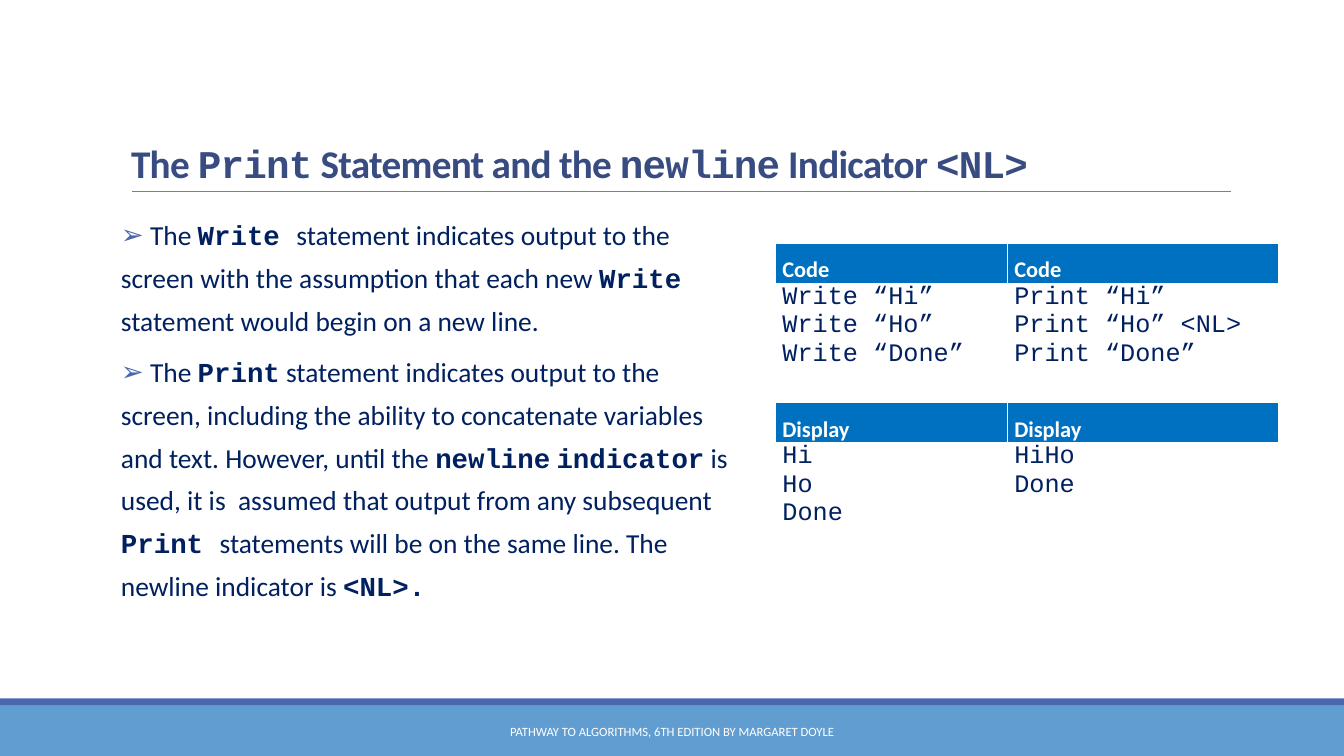
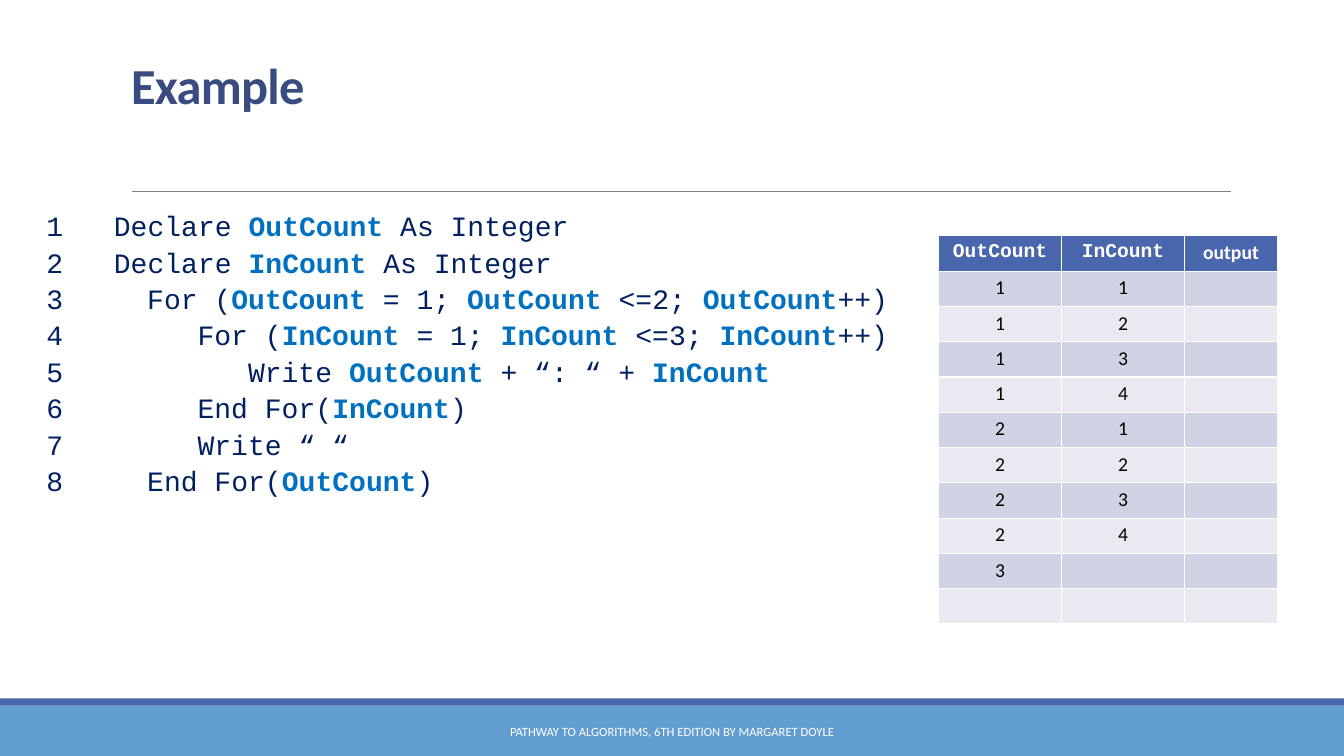
from lxml import etree
from pptx import Presentation
from pptx.dml.color import RGBColor
from pptx.enum.shapes import MSO_CONNECTOR, MSO_SHAPE
from pptx.enum.text import MSO_ANCHOR, MSO_AUTO_SIZE, PP_ALIGN
from pptx.oxml.ns import qn
from pptx.util import Inches, Pt

RECTANGLE = MSO_SHAPE.RECTANGLE
STRAIGHT = MSO_CONNECTOR.STRAIGHT
LEFT, CENTER = PP_ALIGN.LEFT, PP_ALIGN.CENTER
BOTTOM, MIDDLE, TOP = MSO_ANCHOR.BOTTOM, MSO_ANCHOR.MIDDLE, MSO_ANCHOR.TOP
NO_FIT = MSO_AUTO_SIZE.NONE

COLORS = {
    "band": "629DD1", "stripe": "4A66AC", "rule": "808080", "title": "384C81",
    "text": "002060", "accent": "0070C0", "white": "FFFFFF", "black": "000000",
    "row_odd": "D0D3E3", "row_even": "E9EAF1",
}
SANS, MONO = "Calibri", "Courier New"
SLIDE_WIDTH, SLIDE_HEIGHT = 13.33, 7.5

# Backticks switch the emphasised style on and off.
FOOTER = "PATHWAY TO ALGORITHMS, 6TH EDITION BY MARGARET DOYLE"
PRINT_TITLE = "The `Print` Statement and the `newline` Indicator `<NL>`"
PRINT_POINTS = [
    " The `Write `statement indicates output to the screen with the assumption "
    "that each new `Write` statement would begin on a new line.",
    " The `Print` statement indicates output to the screen, including the ability "
    "to concatenate variables and text. However, until the `newline` `indicator` "
    "is used, it is  assumed that output from any subsequent `Print `statements "
    "will be on the same line. The newline indicator is `<NL>.`",
]
PRINT_TABLE = [
    (["Code"], ["Code"]),
    (["Write “Hi”", "Write “Ho”", "Write “Done”"],
     ["Print “Hi”", "Print “Ho” <NL>", "Print “Done”"]),
    (["Display"], ["Display"]),
    (["Hi", "Ho", "Done"], ["HiHo", "Done"]),
]

LOOP_TITLE = "Example"
LOOP_CODE = [  # (indent in inches, code)
    (0.67, "Declare `OutCount` As Integer"),
    (0.67, "Declare `InCount` As Integer"),
    (1, "For (`OutCount` = 1; `OutCount` <=2; `OutCount`++)"),
    (1.5, "For (`InCount` = 1; `InCount` <=3; `InCount`++)"),
    (2, "Write `OutCount` + “: “ + `InCount`"),
    (1.5, "End For(`InCount`)"),
    (1.5, "Write “ “"),
    (1, "End For(`OutCount`)"),
]
TRACE_HEAD = ("OutCount", "InCount", "output")
TRACE_ROWS = [(str(out), str(inner), "") for out in (1, 2) for inner in range(1, 5)]
TRACE_ROWS += [("3", "", ""), ("", "", "")]


def rgb(name):
    """Return the named colour."""
    return RGBColor.from_string(COLORS[name])


def style_font(font, size, color, name=SANS, bold=False):
    """Set size, colour, typeface and weight of a font."""
    font.size, font.name, font.bold = Pt(size), name, bold
    font.color.rgb = rgb(color)


def add_marked_runs(paragraph, text, name=None, color=None):
    """Add runs, giving the parts between backticks the emphasised style."""
    for index, part in enumerate(text.split("`")):
        if not part:
            continue
        run = paragraph.add_run()
        run.text = part
        if index % 2:
            run.font.bold = True
            if name:
                run.font.name = name
            if color:
                run.font.color.rgb = rgb(color)


def place(shape, left, top, width, height):
    """Move and size a shape, in inches."""
    shape.left, shape.top = Inches(left), Inches(top)
    shape.width, shape.height = Inches(width), Inches(height)


def set_bullet(paragraph, indent=0, char=None):
    """Set the hanging indent and the bullet, or no bullet at all."""
    properties = paragraph._p.get_or_add_pPr()
    properties.set("marL", str(Inches(indent)))
    properties.set("indent", str(-Inches(indent)))
    if char:
        bullet_color = etree.SubElement(properties, qn("a:buClr"))
        etree.SubElement(bullet_color, qn("a:srgbClr"), val=COLORS["stripe"])
        etree.SubElement(properties, qn("a:buChar"), char=char)
    else:
        etree.SubElement(properties, qn("a:buNone"))


def add_frame(slide):
    """Draw the bands, the rule under the title and the footer."""
    for color, top, height in (("band", 7, 0.5), ("stripe", 6.93, 0.07)):
        band = slide.shapes.add_shape(RECTANGLE, 0, Inches(top),
                                      Inches(SLIDE_WIDTH), Inches(height))
        band.shadow.inherit = False
        band.fill.solid()
        band.fill.fore_color.rgb = rgb(color)
        band.line.fill.background()
    rule = slide.shapes.add_connector(STRAIGHT, Inches(1.31), Inches(1.9),
                                      Inches(12.21), Inches(1.9))
    rule.line.color.rgb = rgb("rule")
    rule.line.width = Pt(0.5)
    etree.SubElement(rule._element.spPr, qn("a:effectLst"))
    footer = slide.shapes.add_textbox(Inches(4.03), Inches(7.06),
                                      Inches(5.27), Inches(0.4)).text_frame
    footer.word_wrap, footer.vertical_anchor = True, MIDDLE
    paragraph = footer.paragraphs[0]
    paragraph.text, paragraph.alignment = FOOTER, CENTER
    style_font(paragraph.font, 9, "white")


def add_slide(deck, title, size, title_box, body_box):
    """Add a framed slide with its title; return it and the empty body frame."""
    slide = deck.slides.add_slide(deck.slide_layouts[1])
    add_frame(slide)
    place(slide.shapes.title, *title_box)
    heading = slide.shapes.title.text_frame
    heading.word_wrap, heading.auto_size = True, NO_FIT
    heading.vertical_anchor = BOTTOM
    paragraph = heading.paragraphs[0]
    paragraph.alignment, paragraph.line_spacing = LEFT, 0.85
    style_font(paragraph.font, size, "title", bold=True)
    add_marked_runs(paragraph, title, name=MONO)
    for run in paragraph.runs:
        run.font._element.set("spc", "-50")
    place(slide.placeholders[1], *body_box)
    body = slide.placeholders[1].text_frame
    body.word_wrap, body.auto_size, body.vertical_anchor = True, NO_FIT, TOP
    body.margin_left = body.margin_right = 0
    return slide, body


def next_paragraph(frame, index):
    """Return the first paragraph of a frame, or a new one after it."""
    return frame.add_paragraph() if index else frame.paragraphs[0]


def add_grid(slide, left, top, widths, heights):
    """Add an unbanded table with the given column widths and row heights."""
    grid = slide.shapes.add_table(len(heights), len(widths), Inches(left), Inches(top),
                                  Inches(sum(widths)), Inches(sum(heights))).table
    grid.horz_banding = False
    for column, width in zip(grid.columns, widths):
        column.width = Inches(width)
    for row, height in zip(grid.rows, heights):
        row.height = Inches(height)
    return grid


def fill_cell(cell, color):
    """Fill a cell with a named colour."""
    cell.fill.solid()
    cell.fill.fore_color.rgb = rgb(color)


def build_print_slide(deck):
    """Build the slide on the Print statement."""
    slide, body = add_slide(deck, PRINT_TITLE, 28, (1.2, 0.31, 11, 1.59),
                            (1.2, 2.02, 6.04, 4.4))
    for index, point in enumerate(PRINT_POINTS):
        paragraph = next_paragraph(body, index)
        set_bullet(paragraph, char="➢")
        paragraph.line_spacing = 1.3
        paragraph.space_before, paragraph.space_after = Pt(0), Pt(6)
        style_font(paragraph.font, 19.6, "text")
        add_marked_runs(paragraph, point, name=MONO)

    grid = add_grid(slide, 7.69, 2.41, (2.3, 2.69), (0.37, 1.18) * 2)
    for row, texts in enumerate(PRINT_TABLE):
        is_head = row % 2 == 0
        for column, lines in enumerate(texts):
            cell = grid.cell(row, column)
            cell.margin_left = cell.margin_right = Inches(0.07)
            cell.margin_top = cell.margin_bottom = 0
            if is_head:
                fill_cell(cell, "accent")
            else:
                cell.fill.background()
            for index, line in enumerate(lines):
                paragraph = next_paragraph(cell.text_frame, index)
                paragraph.text = line
                if is_head:
                    paragraph.line_spacing = 1.5
                    style_font(paragraph.font, 16, "white", bold=True)
                else:
                    style_font(paragraph.font, 18, "text", MONO)


def build_loop_slide(deck):
    """Build the slide with the nested loop and its trace table."""
    slide, body = add_slide(deck, LOOP_TITLE, 36, (1.2, 0.31, 2.96, 0.88),
                            (0.46, 2.02, 8.54, 4.4))
    for index, (indent, code) in enumerate(LOOP_CODE):
        paragraph = next_paragraph(body, index)
        set_bullet(paragraph, indent)
        paragraph.line_spacing = 1.0
        paragraph.space_before, paragraph.space_after = Pt(0), Pt(2)
        style_font(paragraph.font, 20, "text", MONO)
        add_marked_runs(paragraph, f"{index + 1}\t{code}", color="accent")

    rows = [TRACE_HEAD] + TRACE_ROWS
    grid = add_grid(slide, 9.31, 2.34, (1.22, 1.22, 0.92), [0.35] * len(rows))
    for row, texts in enumerate(rows):
        for column, text in enumerate(texts):
            cell = grid.cell(row, column)
            paragraph = cell.text_frame.paragraphs[0]
            paragraph.alignment = CENTER
            if text:
                paragraph.text = text
            if row == 0:
                fill_cell(cell, "stripe")
                name = SANS if text == "output" else MONO
                style_font(paragraph.font, 14, "white", name, bold=True)
            else:
                fill_cell(cell, "row_odd" if row % 2 else "row_even")
                style_font(paragraph.font, 14, "black")


presentation = Presentation()
presentation.slide_width = Inches(SLIDE_WIDTH)
presentation.slide_height = Inches(SLIDE_HEIGHT)
build_print_slide(presentation)
build_loop_slide(presentation)
presentation.save("out.pptx")
